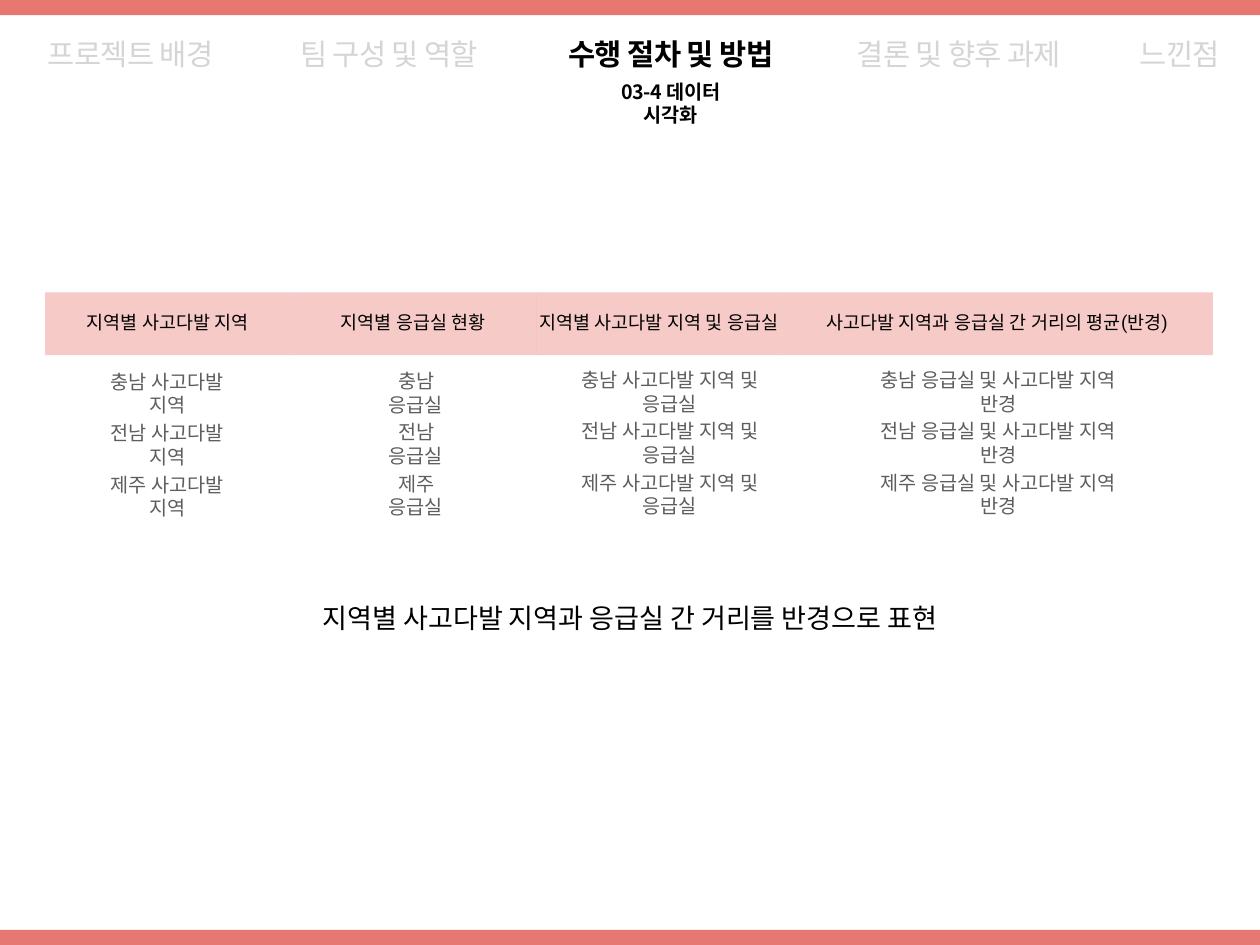
from lxml.etree import SubElement
from pptx import Presentation
from pptx.dml.color import RGBColor
from pptx.enum.shapes import MSO_SHAPE
from pptx.enum.text import MSO_ANCHOR, MSO_AUTO_SIZE, PP_ALIGN
from pptx.oxml.ns import qn

PX = 9144
WIDTH, HEIGHT = 1422, 1067
COLORS = {"coral": "E77771", "black": "000000", "muted": "D5D5D5", "gray": "5E5E5E"}
NOTO, ROBOTO = "Noto Sans CJK KR", "Roboto"
NO_STYLE = "{2D5ABB26-0587-4C30-8999-92F81FD0307C}"
REGIONS = ["충남", "전남", "제주"]


def px(*lengths):
    """Turn px lengths into EMU."""
    return [n * PX for n in lengths]


def add_text(tf, text, size, font, color, bold=False, spacing=None, line=None):
    """Write one centred run into a text frame."""
    p = tf.paragraphs[0]
    p.alignment = PP_ALIGN.CENTER
    if line:
        p.line_spacing = line
    r = p.add_run()
    r.text = text
    r.font.size = size * 12700
    r.font.bold = bold
    r.font.color.rgb = RGBColor.from_string(COLORS[color])
    r.font.name = font
    rPr = r._r.get_or_add_rPr()
    SubElement(rPr, qn("a:ea")).set("typeface", font)
    if spacing:
        rPr.set("spc", str(spacing))


def fit_frame(sp, wrap):
    """Give a text shape its insets, anchor and wrapping."""
    tf = sp.text_frame
    tf.word_wrap = wrap
    tf.auto_size = MSO_AUTO_SIZE.SHAPE_TO_FIT_TEXT
    tf.vertical_anchor = MSO_ANCHOR.MIDDLE
    tf.margin_left = tf.margin_right = tf.margin_top = tf.margin_bottom = 6 * PX
    return tf


def add_label(s, box, text, size, font, color, wrap=False, **style):
    """Add a text box at the given place."""
    tf = fit_frame(s.shapes.add_textbox(*px(*box)), wrap)
    add_text(tf, text, size, font, color, **style)


def add_bar(s, box):
    """Draw a coral band."""
    sp = s.shapes.add_shape(MSO_SHAPE.RECTANGLE, *px(*box))
    sp.shadow.inherit = False
    sp.fill.solid()
    sp.fill.fore_color.rgb = RGBColor.from_string(COLORS["coral"])
    sp.line.fill.background()


def add_navigation(s, top, height):
    """Place the section names, with the current one as the title."""
    title = s.shapes.title
    title.left, title.top, title.width, title.height = px(595, top, 324, height)
    add_text(fit_frame(title, True), "수행 절차 및 방법", 24, NOTO, "black",
             bold=True, spacing=-50, line=0.9)
    sections = [(11, 273, "프로젝트 배경"), (277, 324, "팀 구성 및 역할"),
                (920, 324, "결론 및 향후 과제"), (1226, 211, "느낀점")]
    for left, width, text in sections:
        add_label(s, (left, top, width, height), text, 24, NOTO, "muted",
                  wrap=True, spacing=-50, line=0.9)


def add_header_table(s, left, top, height):
    """Add the one-row table of column headings."""
    columns = [(277, "지역별 사고다발 지역"), (277, "지역별 응급실 현황"),
               (277, "지역별 사고다발 지역 및 응급실"),
               (487, "사고다발 지역과 응급실 간 거리의 평균(반경)")]
    width = sum(w for w, _ in columns)
    frame = s.shapes.add_table(1, len(columns), *px(left, top, width, height))
    table = frame.table
    table._tbl.tblPr.find(qn("a:tableStyleId")).text = NO_STYLE
    table.first_row = table.horz_banding = False
    for i, (w, text) in enumerate(columns):
        table.columns[i].width = w * PX
        cell = table.cell(0, i)
        cell.margin_left = cell.margin_right = cell.margin_top = cell.margin_bottom = 0
        cell.vertical_anchor = MSO_ANCHOR.MIDDLE
        cell.fill.solid()
        cell.fill.fore_color.rgb = RGBColor.from_string(COLORS["coral"])
        clr = cell._tc.tcPr.find(qn("a:solidFill"))[0]
        SubElement(clr, qn("a:alpha")).set("val", "39000")
        add_text(cell.text_frame, text, 15, ROBOTO, "black")


def add_region_lists(s, top, pitch):
    """List every region under each heading."""
    columns = [(99, 2, 179, "사고다발 지역"), (412, 1, 115, "응급실"),
               (622, 0, 268, "사고다발 지역 및 응급실"),
               (970, 0, 313, "응급실 및 사고다발 지역 반경")]
    for left, drop, width, subject in columns:
        for i, region in enumerate(REGIONS):
            add_label(s, (left, top + drop + i * pitch, width, 38),
                      f"{region} {subject}", 16, ROBOTO, "gray")


def main():
    """Build the slide and save it."""
    prs = Presentation()
    prs.slide_width, prs.slide_height = px(WIDTH, HEIGHT)
    s = prs.slides.add_slide(prs.slide_layouts[5])
    for top in (-1, 1050):
        add_bar(s, (-1, top, WIDTH + 2, 18))
    add_navigation(s, 36, 54)
    add_label(s, (666, 97, 182, 39), "03-4 데이터 시각화", 16, NOTO, "black",
              bold=True, spacing=-20)
    add_header_table(s, 51, 330, 71)
    add_region_lists(s, 423, 58)
    add_label(s, (358, 674, 706, 46), "지역별 사고다발 지역과 응급실 간 거리를 반경으로 표현",
              22, NOTO, "black")
    prs.save("out.pptx")


if __name__ == "__main__":
    main()
